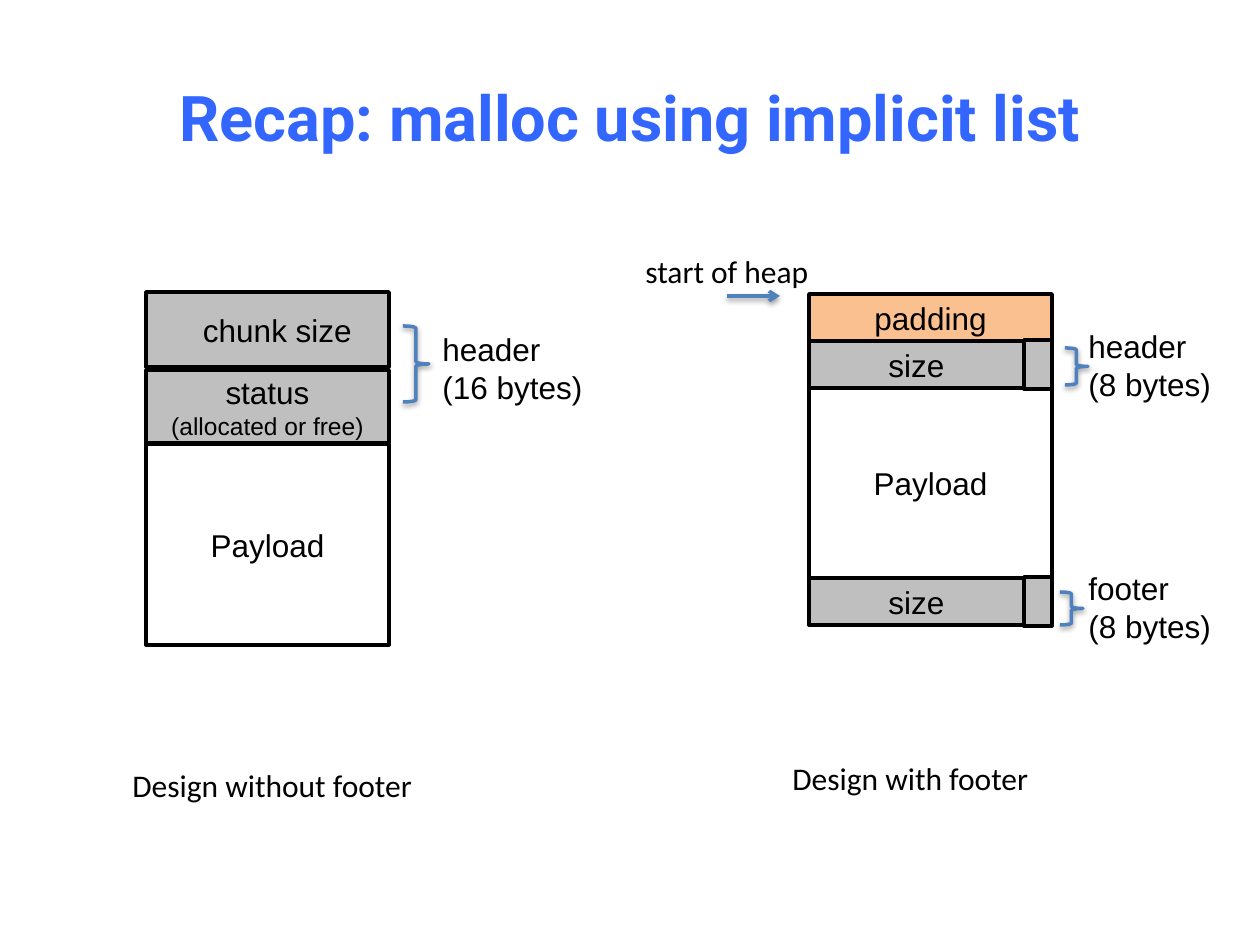
from dataclasses import dataclass
from typing import Optional

from lxml.etree import SubElement
from pptx import Presentation
from pptx.dml.color import RGBColor
from pptx.enum.shapes import MSO_CONNECTOR, MSO_SHAPE
from pptx.enum.text import MSO_ANCHOR, PP_ALIGN
from pptx.oxml.ns import qn
from pptx.util import Emu, Pt

PX_PER_INCH = 126
BLACK, GREY, ORANGE = "000000", "BFBFBF", "FAC090"
BLUE, TITLE_BLUE = "4F81BD", "3366FF"


@dataclass
class Block:
    """One field of a heap chunk; indent left-aligns its text."""
    left: int
    top: int
    width: int
    height: int
    text: str = ""
    fill: Optional[str] = None
    indent: Optional[int] = None


@dataclass
class Label:
    left: int
    top: int
    width: int
    height: int
    text: str
    font: str = "Arial"


@dataclass
class Brace:
    left: int
    top: int
    width: int
    height: int


def px(length: int) -> Emu:
    return Emu(round(length * 914400 / PX_PER_INCH))


def box(item) -> tuple:
    return tuple(px(n) for n in (item.left, item.top, item.width, item.height))


def rgb(value: str) -> RGBColor:
    return RGBColor.from_string(value)


def style_paragraph(paragraph, font: str, size: int = 18,
                    color: str = BLACK, bold: bool = False) -> None:
    for run in paragraph.runs:
        run.font.name = font
        run.font.size = Pt(size)
        run.font.bold = bold
        run.font.color.rgb = rgb(color)


def set_line(shape, color: str) -> None:
    shape.line.color.rgb = rgb(color)
    shape.line.width = Pt(2)


def add_shadow(shape) -> None:
    effects = SubElement(shape._element.spPr, qn("a:effectLst"))
    shadow = SubElement(effects, qn("a:outerShdw"), blurRad="40000",
                        dist="20000", dir="5400000", rotWithShape="0")
    black = SubElement(shadow, qn("a:srgbClr"), val=BLACK)
    SubElement(black, qn("a:alpha"), val="38000")


def draw_block(slide, block: Block) -> None:
    shape = slide.shapes.add_shape(MSO_SHAPE.RECTANGLE, *box(block))
    shape.shadow.inherit = False
    set_line(shape, BLACK)
    if block.fill:
        shape.fill.solid()
        shape.fill.fore_color.rgb = rgb(block.fill)
    else:
        shape.fill.background()
    if not block.text:
        return
    frame = shape.text_frame
    frame.text = block.text
    frame.vertical_anchor = MSO_ANCHOR.MIDDLE
    if block.indent is not None:
        frame.margin_left = px(block.indent)
    for number, paragraph in enumerate(frame.paragraphs):
        paragraph.alignment = PP_ALIGN.CENTER if block.indent is None else PP_ALIGN.LEFT
        style_paragraph(paragraph, "Arial", 14 if number else 18)


def draw_label(slide, label: Label) -> None:
    frame = slide.shapes.add_textbox(*box(label)).text_frame
    frame.word_wrap = False
    frame.text = label.text
    for paragraph in frame.paragraphs:
        style_paragraph(paragraph, label.font)


def draw_brace(slide, brace: Brace) -> None:
    shape = slide.shapes.add_shape(MSO_SHAPE.RIGHT_BRACE, *box(brace))
    shape.fill.background()
    set_line(shape, BLUE)
    add_shadow(shape)


def draw_arrow(slide, start: int, end: int, y: int) -> None:
    arrow = slide.shapes.add_connector(
        MSO_CONNECTOR.STRAIGHT, px(start), px(y), px(end), px(y))
    set_line(arrow, BLUE)
    SubElement(arrow._element.spPr.find(qn("a:ln")), qn("a:tailEnd"), type="arrow")
    add_shadow(arrow)


# Chunk columns: a size field leaves room for a status tag at its right
LEFT_X, RIGHT_X, CHUNK_W = 146, 809, 243
TAG_W, FIELD_H = 28, 47
SIZE_W = CHUNK_W - TAG_W
HEADER_Y, FOOTER_Y = 341, 578
PAYLOAD_Y = HEADER_Y + FIELD_H

BLOCKS = [
    # Design without footer
    Block(LEFT_X, 444, CHUNK_W, 201, "Payload"),
    Block(LEFT_X, 292, CHUNK_W, 75, "chunk size", GREY, indent=57),
    Block(LEFT_X, 370, CHUNK_W, 73, "status\n(allocated or free)", GREY),
    # Design with footer
    Block(RIGHT_X, PAYLOAD_Y, CHUNK_W, FOOTER_Y - PAYLOAD_Y, "Payload"),
    Block(RIGHT_X, HEADER_Y - FIELD_H, CHUNK_W, FIELD_H, "padding", ORANGE),
]
for field_y in (HEADER_Y, FOOTER_Y):
    BLOCKS += [
        Block(RIGHT_X, field_y, SIZE_W, FIELD_H, "size", GREY),
        Block(RIGHT_X + SIZE_W, field_y - 1, TAG_W, FIELD_H + 2, fill=GREY),
    ]

BRACES = [Brace(403, 326, 26, 76), Brace(1065, 348, 23, 37), Brace(1060, 592, 23, 33)]

LABELS = [
    Label(430, 324, 166, 89, "header\n(16 bytes)"),
    Label(1076, 321, 149, 89, "header\n(8 bytes)"),
    Label(1076, 563, 149, 89, "footer\n(8 bytes)"),
    Label(633, 246, 190, 50, "start of heap", "Calibri"),
    Label(120, 760, 309, 50, "Design without footer", "Calibri"),
    Label(780, 753, 265, 50, "Design with footer", "Calibri"),
]


def main() -> None:
    deck = Presentation()
    deck.slide_width, deck.slide_height = px(1260), px(945)
    slide = deck.slides.add_slide(deck.slide_layouts[5])

    # Title
    title = slide.shapes.title
    title.left, title.top, title.width, title.height = px(63), px(38), px(1134), px(157)
    title.text_frame.text = "Recap: malloc using implicit list"
    title.text_frame.vertical_anchor = MSO_ANCHOR.MIDDLE
    heading = title.text_frame.paragraphs[0]
    heading.alignment = PP_ALIGN.CENTER
    style_paragraph(heading, "Roboto", 36, TITLE_BLUE, bold=True)

    # Chunk diagrams and their annotations
    for block in BLOCKS:
        draw_block(slide, block)
    for brace in BRACES:
        draw_brace(slide, brace)
    for label in LABELS:
        draw_label(slide, label)
    draw_arrow(slide, 727, 780, 296)

    deck.save("out.pptx")


if __name__ == "__main__":
    main()
